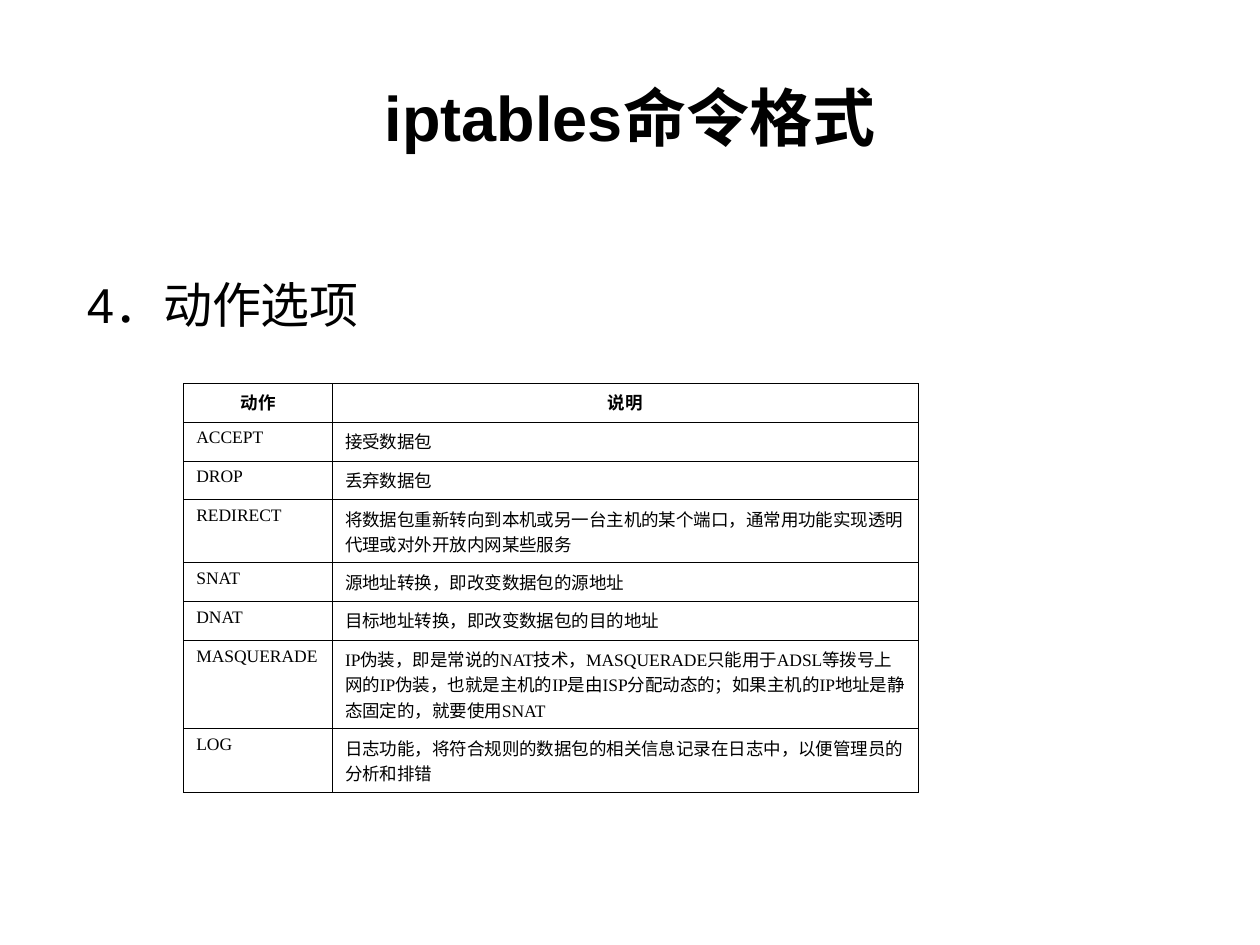
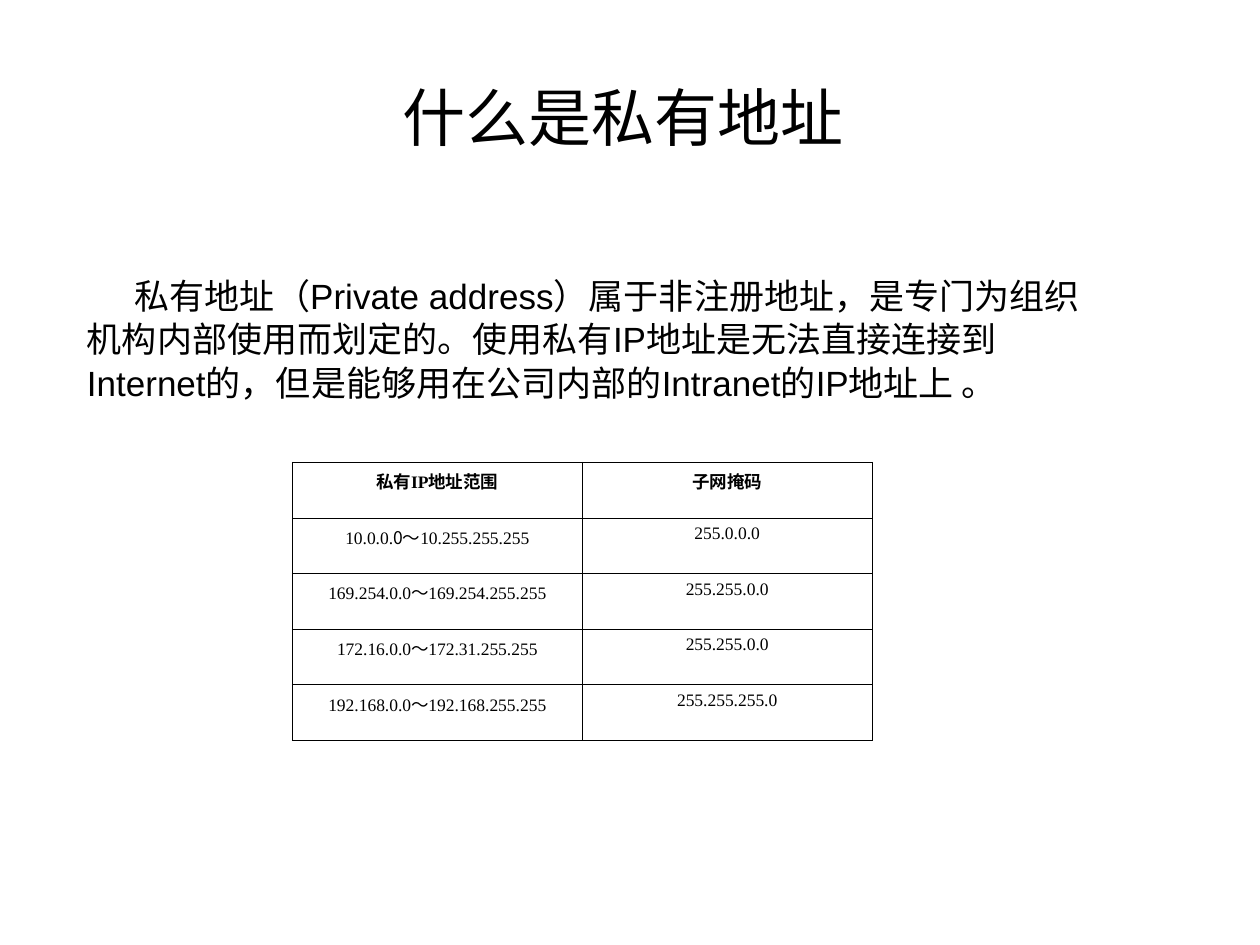
from dataclasses import dataclass
from lxml import etree
from pptx import Presentation
from pptx.dml.color import RGBColor
from pptx.enum.text import MSO_ANCHOR, MSO_AUTO_SIZE, PP_ALIGN
from pptx.oxml.ns import qn
from pptx.util import Pt

LEFT, MID = PP_ALIGN.LEFT, PP_ALIGN.CENTER
TOP, HALF = MSO_ANCHOR.TOP, MSO_ANCHOR.MIDDLE
FIXED = MSO_AUTO_SIZE.NONE


@dataclass(frozen=True)
class Theme:
    ink: str = "000000"
    paper: str = "FFFFFF"
    sans: str = "Arial"
    serif: str = "Times New Roman"
    han: str = "Noto Sans CJK SC"
    head: int = 36
    cell: int = 10
    rule: float = 0.45
    hang: float = 27.36


THEME = Theme()
TITLE = (36, 21.6, 648, 90)

PAGES = [
    dict(
        title="iptables命令格式", bold=True,
        body=["4．动作选项"], size=28, first=-THEME.hang,
        box=(42.5, 157, 314.6, 325.4),
        spot=(105, 219.1), cols=(85, 334.8), aligns=(LEFT, LEFT),
        tall=(22.15, 22.15, 22.15, 36.1, 22.15, 22.15, 50.6, 36.1),
        rows=[
            ("动作", "说明"),
            ("ACCEPT", "接受数据包"),
            ("DROP", "丢弃数据包"),
            ("REDIRECT", "将数据包重新转向到本机或另一台主机的某个端口，"
                         "通常用功能实现透明代理或对外开放内网某些服务"),
            ("SNAT", "源地址转换，即改变数据包的源地址"),
            ("DNAT", "目标地址转换，即改变数据包的目的地址"),
            ("MASQUERADE", "IP伪装，即是常说的NAT技术，MASQUERADE只能用于ADSL等拨号上网的"
                           "IP伪装，也就是主机的IP是由ISP分配动态的；"
                           "如果主机的IP地址是静态固定的，就要使用SNAT"),
            ("LOG", "日志功能，将符合规则的数据包的相关信息记录在日志中，"
                    "以便管理员的分析和排错"),
        ],
    ),
    dict(
        title="什么是私有地址 ", bold=False,
        body=[
            "私有地址（Private address）属于非注册地址，是专门为组织",
            "机构内部使用而划定的。使用私有IP地址是无法直接连接到",
            "Internet的，但是能够用在公司内部的Intranet的IP地址上 。",
        ],
        size=20, first=0,
        box=(42.5, 156.2, 612.7, 159.1),
        spot=(167, 264.2), cols=(165.7, 165.7), aligns=(MID, MID),
        tall=(31.8,) * 5,
        rows=[
            ("私有IP地址范围", "子网掩码"),
            (("10.0.0.", "0～", "10.255.255.255"), "255.0.0.0"),
            (("169.254.0.0", "～", "169.254.255.255"), "255.255.0.0"),
            (("172.16.0.0", "～", "172.31.255.255"), "255.255.0.0"),
            (("192.168.0.0", "～", "192.168.255.255"), "255.255.255.0"),
        ],
    ),
]


def put(para, text, size=THEME.cell, font=THEME.serif, bold=False, align=LEFT):
    para.alignment = align
    parts = (text,) if isinstance(text, str) else text
    for num, part in enumerate(parts):
        run = para.add_run()
        run.text = part
        run.font.size = Pt(size)
        run.font.bold = bold
        run.font.color.rgb = RGBColor.from_string(THEME.ink)
        run.font.name = THEME.han if num % 2 else font
        far = etree.SubElement(run.font._element, qn("a:ea"))
        far.set("typeface", THEME.han)


def place(shape, box, anchor):
    shape.left, shape.top, shape.width, shape.height = map(Pt, box)
    frame = shape.text_frame
    frame.auto_size = FIXED
    frame.word_wrap = True
    frame.vertical_anchor = anchor
    return frame


def list_text(frame, page):
    for num, line in enumerate(page["body"]):
        para = frame.add_paragraph() if num else frame.paragraphs[0]
        put(para, line, size=page["size"], font=THEME.sans)
        para.line_spacing = 0.9
        para.space_before = Pt(3)
        props = para._p.get_or_add_pPr()
        props.set("marL", str(Pt(THEME.hang)))
        props.set("indent", str(Pt(-THEME.hang if num else page["first"])))
        etree.SubElement(props, qn("a:buNone"))


def frame_cell(cell):
    props = cell._tc.get_or_add_tcPr()
    for side in ("lnL", "lnR", "lnT", "lnB"):
        line = etree.SubElement(props, qn(f"a:{side}"), w=str(Pt(THEME.rule)))
        fill = etree.SubElement(line, qn("a:solidFill"))
        etree.SubElement(fill, qn("a:srgbClr"), val=THEME.ink)
    cell.fill.solid()
    cell.fill.fore_color.rgb = RGBColor.from_string(THEME.paper)


def add_grid(slide, page):
    rows, cols, tall = page["rows"], page["cols"], page["tall"]
    area = (*page["spot"], sum(cols), sum(tall))
    grid = slide.shapes.add_table(len(rows), len(cols), *map(Pt, area)).table
    grid.first_row = grid.horz_banding = False
    for col, width in zip(grid.columns, cols):
        col.width = Pt(width)
    for num, row in enumerate(rows):
        grid.rows[num].height = Pt(tall[num])
        for pos, text in enumerate(row):
            cell = grid.cell(num, pos)
            frame_cell(cell)
            put(cell.text_frame.paragraphs[0], text, bold=num == 0,
                align=page["aligns"][pos] if num else MID)


def main():
    deck = Presentation()
    deck.slide_width, deck.slide_height = Pt(720), Pt(540)
    for page in PAGES:
        slide = deck.slides.add_slide(deck.slide_layouts[1])
        title = place(slide.shapes.title, TITLE, HALF)
        put(title.paragraphs[0], page["title"], size=THEME.head,
            font=THEME.sans, bold=page["bold"], align=MID)
        list_text(place(slide.placeholders[1], page["box"], TOP), page)
        add_grid(slide, page)
    deck.save("out.pptx")


if __name__ == "__main__":
    main()
